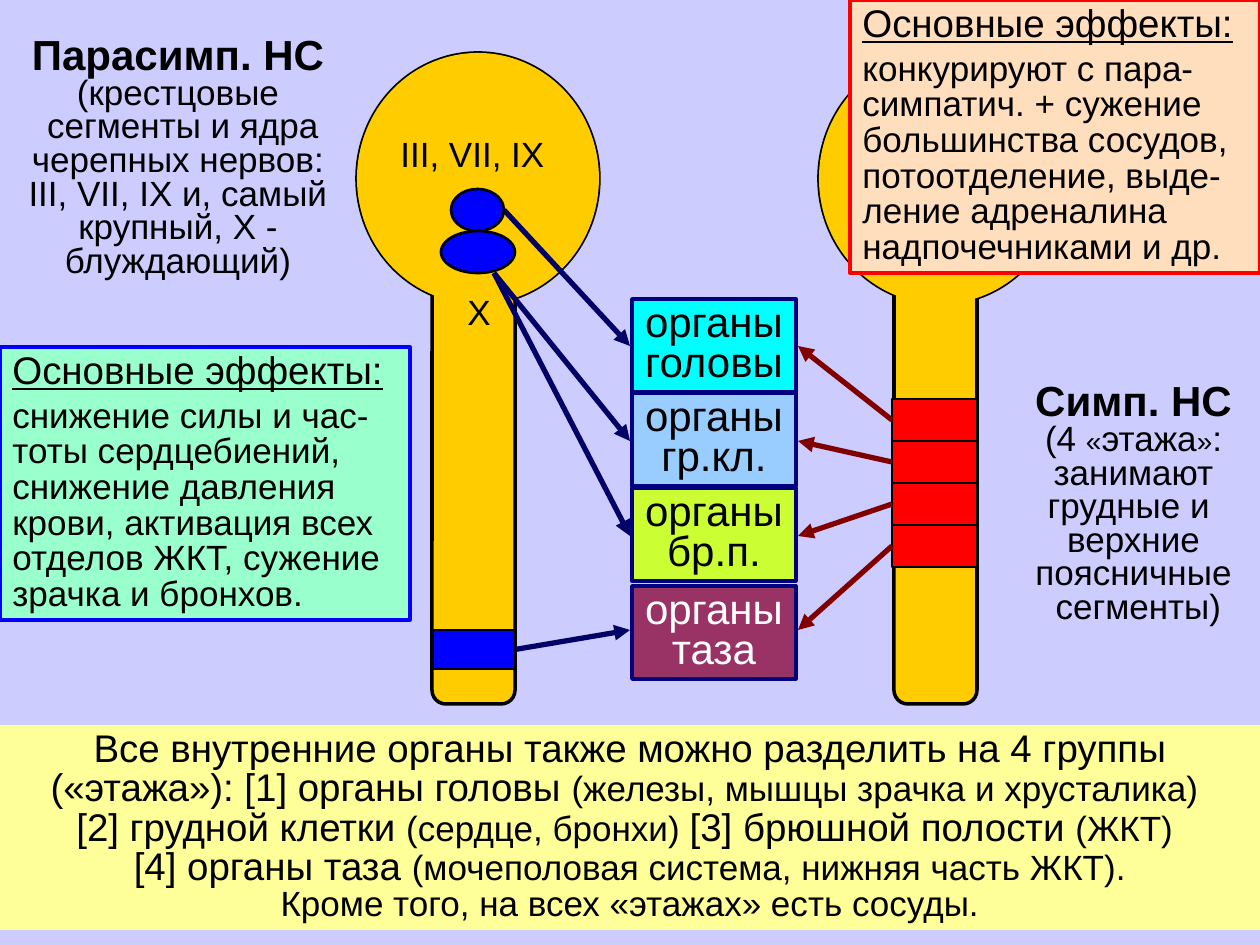
from lxml.etree import SubElement
from pptx import Presentation
from pptx.dml.color import RGBColor
from pptx.enum.shapes import MSO_CONNECTOR as Connector, MSO_SHAPE as Shape
from pptx.enum.text import MSO_ANCHOR as Anchor, PP_ALIGN as Align
from pptx.oxml.ns import qn
from pptx.util import Pt

PX = 914400 / 126
FONT = "Arial"
BLACK, WHITE, NAVY = "000000", "FFFFFF", "000080"
YELLOW, RED, BLUE = "FFCC00", "FF0000", "0000FF"
HEAD_WIDTH, NECK_OFFSET = 242, 75
SEGMENT_TOP, SEGMENT_HEIGHT = 399, 42

ORGANS = [  # name, top, fill, text colour
    ("головы", 299, "00FFFF", BLACK),
    ("гр.кл.", 393, "99CCFF", BLACK),
    ("бр.п.", 488, "CCFF33", BLACK),
    ("таза", 586, "993366", WHITE),
]
ORGAN_TARGETS = [346, 441, 536, 630]


def px(value):
    return round(value * PX)


def color(hex_string):
    return RGBColor.from_string(hex_string)


def add_box(slide, kind, box, fill, line=None, width=2):
    shape = slide.shapes.add_shape(kind, *map(px, box))
    shape.shadow.inherit = False
    shape.fill.solid()
    shape.fill.fore_color.rgb = color(fill)
    if line:
        shape.line.color.rgb = color(line)
        shape.line.width = Pt(width)
    else:
        shape.line.fill.background()
    return shape


def write(shape, paragraphs, align=Align.LEFT, spacing=1.0, wrap=True, text_color=BLACK):
    """Each paragraph is a list of runs: (text, size[, style name])."""
    frame = shape.text_frame
    frame.word_wrap = wrap
    frame.vertical_anchor = Anchor.TOP
    for index, runs in enumerate(paragraphs):
        paragraph = frame.add_paragraph() if index else frame.paragraphs[0]
        paragraph.alignment = align
        paragraph.line_spacing = spacing
        for text, size, *styles in runs:
            run = paragraph.add_run()
            run.text = text
            run.font.name = FONT
            run.font.size = Pt(size)
            run.font.color.rgb = color(text_color)
            run.font.bold = "bold" in styles
            run.font.underline = "underline" in styles
    return frame


def add_label(slide, box, paragraphs, **options):
    write(slide.shapes.add_textbox(*map(px, box)), paragraphs, **options)


def add_arrow(slide, start, end, line):
    arrow = slide.shapes.add_connector(Connector.STRAIGHT, *map(px, start + end))
    arrow.line.color.rgb = color(line)
    arrow.line.width = Pt(3)
    properties = arrow._element.spPr
    SubElement(properties.find(qn("a:ln")), qn("a:tailEnd"), type="triangle")
    SubElement(properties, qn("a:effectLst"))


def add_nervous_system(slide, left, top):
    """Brain and spinal cord; a second, unlined head hides the top of the cord."""
    head = (left, top, HEAD_WIDTH, 251)
    add_box(slide, Shape.OVAL, head, YELLOW, BLACK)
    add_box(slide, Shape.ROUNDED_RECTANGLE, (left + NECK_OFFSET, top + 200, 83, 451), YELLOW, BLACK)
    add_box(slide, Shape.OVAL, head, YELLOW)


def add_organs(slide, left, width, height):
    for name, top, fill, text_color in ORGANS:
        shape = add_box(slide, Shape.RECTANGLE, (left, top, width, height), fill, NAVY)
        write(shape, [[("органы", 24)], [(name, 24)]], Align.CENTER, 0.8, False, text_color)


def add_sympathetic(slide, left):
    add_nervous_system(slide, left, 53)
    add_label(slide, (1018, 378, 231, 255), [
        [("Симп. НС", 24, "bold")],
        [("(4 ", 20), ("«", 16), ("этажа", 20), ("»", 16), (":", 20)],
        [("занимают грудные и ", 20)],
        [("верхние", 20)],
        [("поясничные", 20)],
        [(" сегменты)", 20)],
    ], align=Align.CENTER, spacing=0.8)
    cord = left + NECK_OFFSET - 2
    for index in range(4):
        top = SEGMENT_TOP + index * SEGMENT_HEIGHT
        add_box(slide, Shape.RECTANGLE, (cord, top, 85, SEGMENT_HEIGHT), RED, BLACK, 1.5)
    add_organs(slide, 632, 164, 93)
    for index, target in enumerate(ORGAN_TARGETS):
        middle = SEGMENT_TOP + (index + 0.5) * SEGMENT_HEIGHT
        add_arrow(slide, (cord, middle), (798, target), "800000")


def add_parasympathetic(slide, left):
    add_nervous_system(slide, left, 53)
    starts = [(left + 147, 210), (left + 137, 273), (left + 137, 273), (left + 155, 650)]
    for start, target in zip(starts, ORGAN_TARGETS):
        add_arrow(slide, start, (630, target), "000066")
    add_label(slide, (10, 32, 336, 255), [
        [("Парасимп. НС", 24, "bold")],
        [("(крестцовые", 20)],
        [(" сегменты и ядра черепных нервов: III, VII, IX и, самый крупный, Х - блуждающий)", 20)],
    ], align=Align.CENTER, spacing=0.8)
    for kind, offset, top, width, height in [
        (Shape.RECTANGLE, 76, 630, 82, 39),
        (Shape.OVAL, 94, 189, 53, 42),
        (Shape.OVAL, 84, 231, 74, 42),
    ]:
        add_box(slide, kind, (left + offset, top, width, height), BLUE, BLACK, 1.5)
    add_label(slide, (left + 31, 126, 169, 55), [[("III, VII, IX", 20)]], wrap=False)
    add_label(slide, (left + 98, 284, 48, 55), [[("X", 20)]], wrap=False)


def add_effects(slide, left, top, fill, line, text):
    shape = add_box(slide, Shape.RECTANGLE, (left, top, 410, 273), fill, line)
    frame = write(shape, [[("Основные эффекты:", 22, "underline")], [(text, 20)]], spacing=0.85)
    frame.paragraphs[1].space_before = Pt(4)


def add_summary(slide, box):
    write(add_box(slide, Shape.RECTANGLE, box, "FFFF99"), [
        [("Все внутренние органы также можно разделить на 4 группы («этажа»): [1] органы головы ", 22),
         ("(железы, мышцы зрачка и хрусталика)", 20), (" ", 22)],
        [("[2] грудной клетки ", 22), ("(сердце, бронхи) ", 20),
         ("[3] брюшной полости ", 22), ("(ЖКТ)", 20), (" ", 22)],
        [("[4] органы таза ", 22), ("(мочеполовая система, нижняя часть ЖКТ).", 20)],
        [("Кроме того, на всех «этажах» есть сосуды.", 20)],
    ], Align.CENTER, 0.85)


def main():
    presentation = Presentation()
    presentation.slide_width, presentation.slide_height = px(1260), px(945)
    slide = presentation.slides.add_slide(presentation.slide_layouts[6])
    slide.background.fill.solid()
    slide.background.fill.fore_color.rgb = color("CCCCFF")
    add_summary(slide, (0, 725, 1260, 205))
    add_sympathetic(slide, 819)
    add_parasympathetic(slide, 357)
    add_effects(slide, 0, 347, "99FFCC", BLUE,
                "снижение силы и час-тоты сердцебиений, снижение давления крови, "
                "активация всех отделов ЖКТ, сужение зрачка и бронхов.")
    add_effects(slide, 850, 0, "FFDEBD", RED,
                "конкурируют с пара-симпатич. + сужение большинства сосудов, "
                "потоотделение, выде-ление адреналина надпочечниками и др.")
    presentation.save("out.pptx")


if __name__ == "__main__":
    main()
